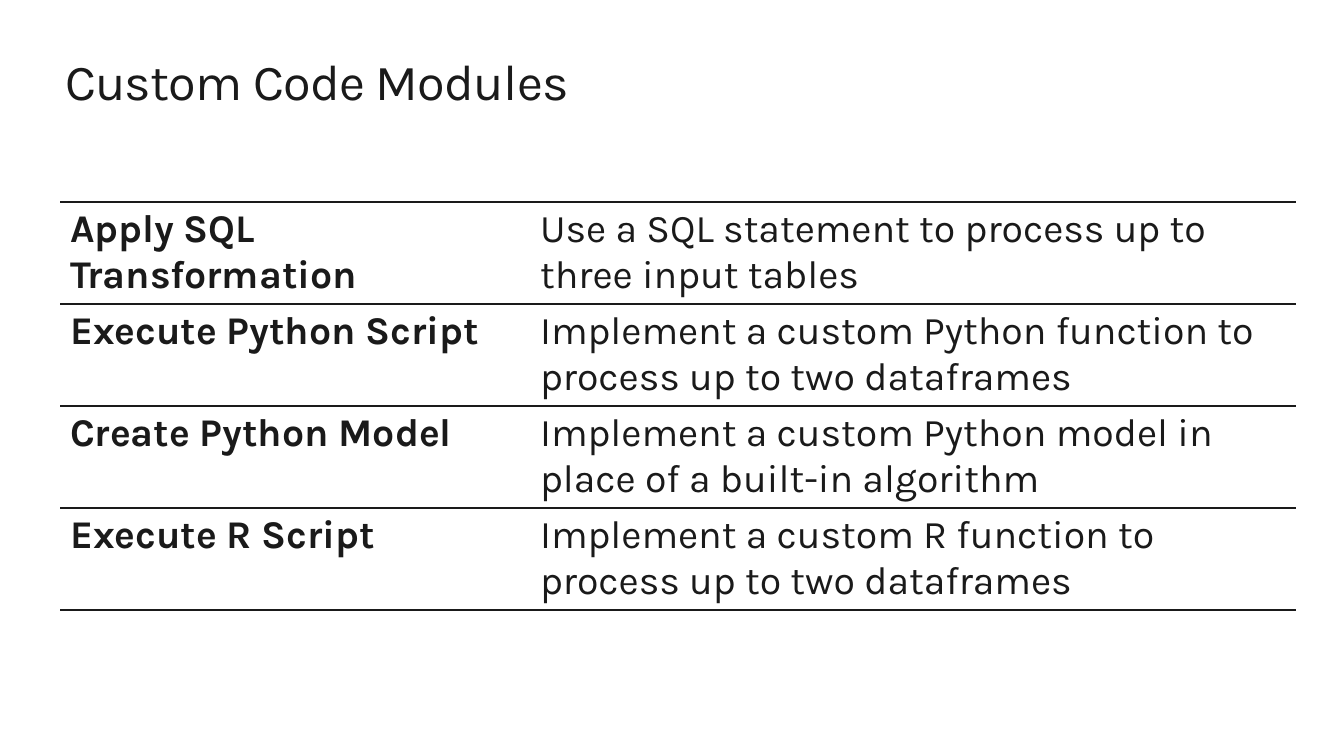
from dataclasses import dataclass

from pptx import Presentation
from pptx.dml.color import RGBColor
from pptx.enum.text import MSO_ANCHOR, MSO_AUTO_SIZE, PP_ALIGN
from pptx.oxml import parse_xml
from pptx.oxml.ns import nsdecls
from pptx.util import Pt

TOP = MSO_ANCHOR.TOP
NO_FIT = MSO_AUTO_SIZE.NONE
LEFT = PP_ALIGN.LEFT

TITLE = "Custom Code Modules"
MODULES = [
    ("Apply SQL Transformation", "Use a SQL statement to process up to three input tables"),
    ("Execute Python Script", "Implement a custom Python function to process up to two dataframes"),
    ("Create Python Model", "Implement a custom Python model in place of a built-in algorithm"),
    ("Execute R Script", "Implement a custom R function to process up to two dataframes"),
]

SLIDE_SIZE = (1344, 756)
TITLE_BOX = (65, 50, 1215, 62)
TABLE_LEFT, TABLE_TOP = 60, 202
COLUMN_WIDTHS = (470, 766)
ROW_HEIGHT = 102
TITLE_ONLY = 5


@dataclass(frozen=True)
class Theme:
    font: str = "Karla"
    ink: str = "1A1A1A"
    title_size: int = 36
    table_size: int = 28
    title_tracking: int = -50
    rule_width: int = 1


THEME = Theme()


def px(length):
    return round(length * 914400 / 100.8)


def write_text(frame, text, *, size, bold=False, tracking=0):
    para = frame.paragraphs[0]
    para.alignment = LEFT
    span = para.add_run()
    span.text = text
    span.font.name = THEME.font
    span.font.size = Pt(size)
    span.font.bold = bold
    span.font.color.rgb = RGBColor.from_string(THEME.ink)
    if tracking:
        span._r.get_or_add_rPr().set("spc", str(tracking))


def rule_cell(cell):
    properties = cell._tc.get_or_add_tcPr()
    no_line = "<a:noFill/>"
    ink_line = f'<a:solidFill><a:srgbClr val="{THEME.ink}"/></a:solidFill>'
    for side, paint in zip("LRTB", (no_line, no_line, ink_line, ink_line)):
        properties.append(parse_xml(
            f'<a:ln{side} {nsdecls("a")} w="{Pt(THEME.rule_width)}">{paint}</a:ln{side}>'
        ))
    cell.fill.background()


def add_title(page):
    title = page.shapes.title
    title.left, title.top, title.width, title.height = map(px, TITLE_BOX)
    frame = title.text_frame
    frame.margin_left = frame.margin_right = frame.margin_top = frame.margin_bottom = 0
    frame.vertical_anchor = TOP
    frame.auto_size = NO_FIT
    frame.word_wrap = True
    write_text(frame, TITLE, size=THEME.title_size, tracking=THEME.title_tracking)


def add_module_table(page):
    table = page.shapes.add_table(
        len(MODULES), len(COLUMN_WIDTHS), px(TABLE_LEFT), px(TABLE_TOP),
        px(sum(COLUMN_WIDTHS)), px(ROW_HEIGHT * len(MODULES)),
    ).table
    table.first_row = False
    table.horz_banding = False
    for column, width in zip(table.columns, COLUMN_WIDTHS):
        column.width = px(width)
    for row, texts in zip(table.rows, MODULES):
        row.height = px(ROW_HEIGHT)
        for index, (cell, text) in enumerate(zip(row.cells, texts)):
            write_text(cell.text_frame, text, size=THEME.table_size, bold=index == 0)
            rule_cell(cell)


def main():
    deck = Presentation()
    deck.slide_width, deck.slide_height = map(px, SLIDE_SIZE)
    page = deck.slides.add_slide(deck.slide_layouts[TITLE_ONLY])
    add_title(page)
    add_module_table(page)
    deck.save("out.pptx")


if __name__ == "__main__":
    main()
